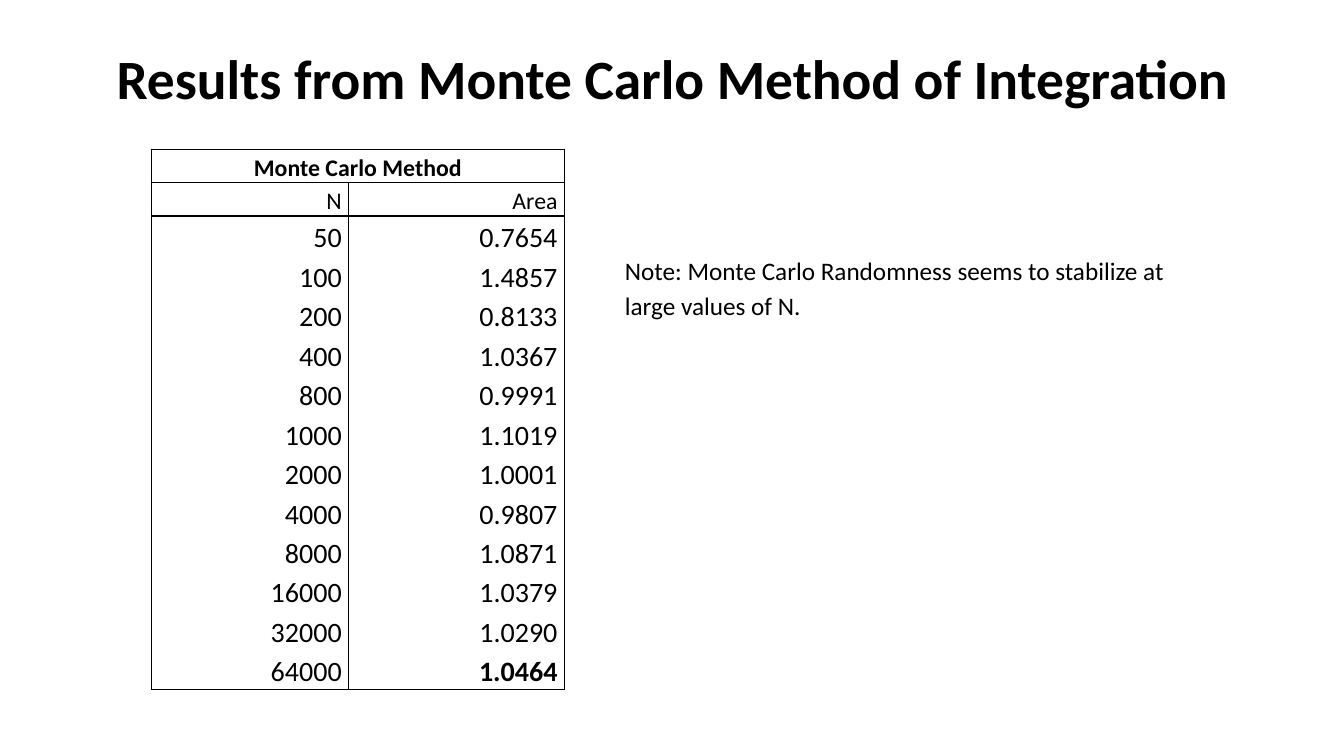
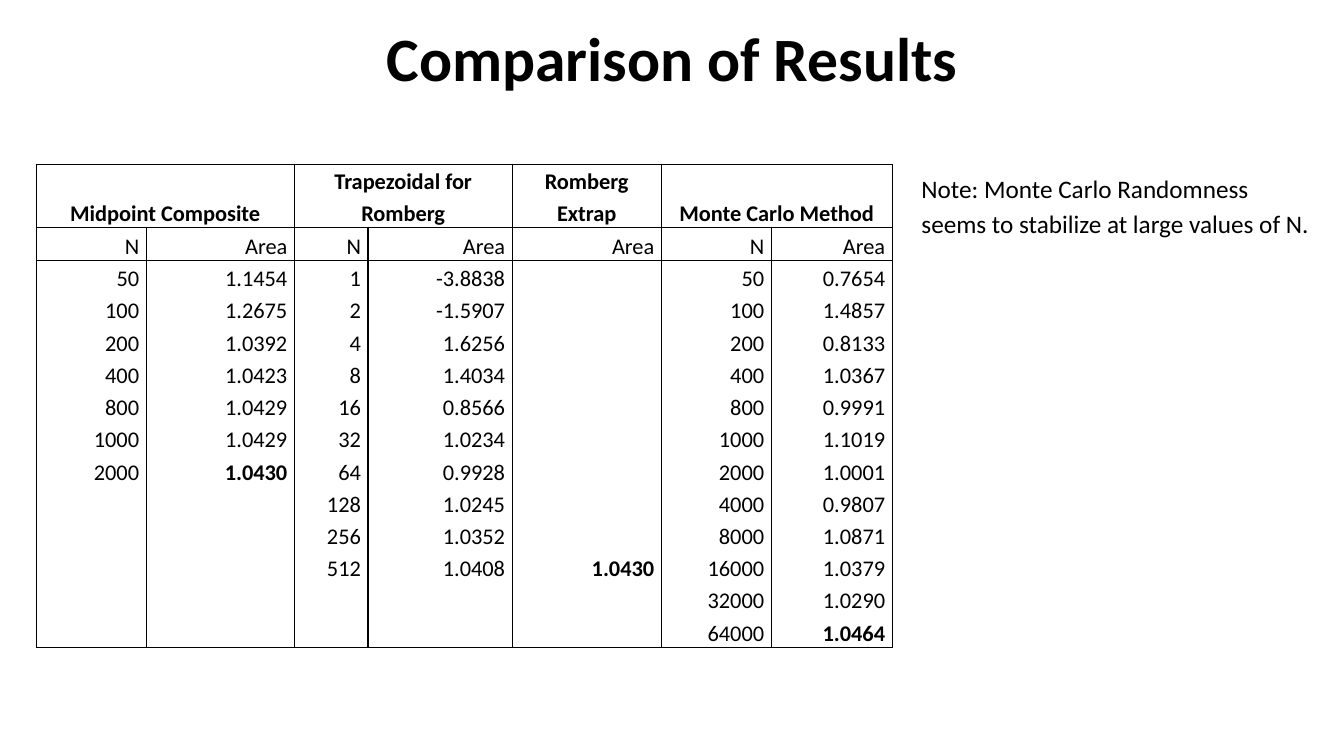
import dataclasses

import lxml.etree
import pptx
import pptx.dml.color
import pptx.enum.text
import pptx.oxml.ns
import pptx.util

PX = 9144  # EMU in one px, 100 px to the inch
FONT = "Calibri"
INK = "000000"
HEADER_ROWS = 2
ALIGN = pptx.enum.text.PP_ALIGN
ANCHOR = pptx.enum.text.MSO_ANCHOR
NOTE = "Note: Monte Carlo Randomness seems to stabilize at large values of N."


@dataclasses.dataclass
class Method:
    heading: str
    columns: dict
    bold_result: bool = True


MONTE_CARLO = Method("Monte Carlo Method", {
    "N": "50 100 200 400 800 1000 2000 4000 8000 16000 32000 64000".split(),
    "Area": ("0.7654 1.4857 0.8133 1.0367 0.9991 1.1019 "
             "1.0001 0.9807 1.0871 1.0379 1.0290 1.0464").split(),
})
MIDPOINT = Method("Midpoint Composite", {
    "N": "50 100 200 400 800 1000 2000".split(),
    "Area": "1.1454 1.2675 1.0392 1.0423 1.0429 1.0429 1.0430".split(),
})
TRAPEZOIDAL = Method("Trapezoidal for Romberg", {
    "N": [str(2 ** power) for power in range(10)],
    "Area": ("-3.8838 -1.5907 1.6256 1.4034 0.8566 "
             "1.0234 0.9928 1.0245 1.0352 1.0408").split(),
}, bold_result=False)
EXTRAPOLATION = Method("Romberg Extrap", {"Area": [""] * 9 + ["1.0430"]})


def px(length):
    return pptx.util.Emu(length * PX)


def color(value):
    return pptx.dml.color.RGBColor.from_string(value)


def write(para, text, size, bold=False, align=ALIGN.LEFT, spacing=1.15):
    para.alignment = align
    para.line_spacing = spacing
    if not text:
        # An empty cell keeps the text size, so that its row does not grow
        para._p.get_or_add_endParaRPr().set("sz", str(size * 100))
        return
    span = para.add_run()
    span.text = text
    span.font.name = FONT
    span.font.size = pptx.util.Pt(size)
    span.font.bold = bold
    span.font.color.rgb = color(INK)


def set_borders(cell, visible):
    """Draw the sides named in visible (of L, R, T, B) and hide the others."""
    properties = cell._tc.get_or_add_tcPr()
    qn = pptx.oxml.ns.qn
    for index, side in enumerate("LRTB"):
        line = lxml.etree.Element(qn("a:ln" + side), w=str(pptx.util.Pt(1)))
        if side in visible:
            fill = lxml.etree.SubElement(line, qn("a:solidFill"))
            lxml.etree.SubElement(fill, qn("a:srgbClr"), val=INK)
        else:
            lxml.etree.SubElement(line, qn("a:noFill"))
        properties.insert(index, line)


def format_cell(cell, visible_sides):
    cell.margin_left = cell.margin_right = px(7)
    cell.margin_top = cell.margin_bottom = 0
    cell.vertical_anchor = ANCHOR.BOTTOM
    cell.fill.background()
    set_borders(cell, visible_sides)


def add_title(page, box, text, size, bottom_inset):
    title = page.shapes.title
    title.left, title.top, title.width, title.height = map(px, box)
    frame = title.text_frame
    frame.word_wrap = True
    frame.auto_size = pptx.enum.text.MSO_AUTO_SIZE.NONE
    frame.vertical_anchor = ANCHOR.MIDDLE
    frame.margin_bottom = px(bottom_inset)
    write(frame.paragraphs[0], text, size, True, ALIGN.CENTER, 0.9)


def add_note(page, box):
    frame = page.shapes.add_textbox(*map(px, box)).text_frame
    frame.word_wrap = True
    write(frame.paragraphs[0], NOTE, 18)


def add_results_table(page, corner, widths, heights, methods, header_size, value_size):
    size = sum(widths), sum(heights)
    table = page.shapes.add_table(
        len(heights), len(widths), *map(px, corner + size)).table
    table.first_row = table.horz_banding = False
    for column, width in zip(table.columns, widths):
        column.width = px(width)
    for row, height in zip(table.rows, heights):
        row.height = px(height)

    left = 0
    for method in methods:
        # Heading over the columns of the method
        right = left + len(method.columns) - 1
        heading = table.cell(0, left)
        if right > left:
            heading.merge(table.cell(0, right))
        for index in range(left, right + 1):
            format_cell(table.cell(0, index), "LRTB")
        write(heading.text_frame.paragraphs[0], method.heading,
              header_size, True, ALIGN.CENTER)

        # Column names and values
        for index, (name, values) in enumerate(method.columns.items(), left):
            last_value = HEADER_ROWS + len(values) - 1
            for row in range(1, len(heights)):
                is_header = row < HEADER_ROWS
                sides = "LR"
                if row <= HEADER_ROWS:
                    sides += "T"
                if is_header or row == len(heights) - 1:
                    sides += "B"
                cell = table.cell(row, index)
                format_cell(cell, sides)
                if is_header:
                    text = name
                else:
                    text = values[row - HEADER_ROWS] if row <= last_value else ""
                bold = method.bold_result and name == "Area" and row == last_value
                write(cell.text_frame.paragraphs[0], text,
                      header_size if is_header else value_size, bold, ALIGN.RIGHT)
        left = right + 1


def add_page(deck):
    return deck.slides.add_slide(deck.slide_layouts.get_by_name("Title Only"))


def monte_carlo_slide(deck):
    page = add_page(deck)
    add_title(page, (92, 40, 1150, 145),
              "Results from Monte Carlo Method of Integration", 39.6, 68)
    add_results_table(page, (150, 148), [196, 214], [32] * 2 + [39] * 12,
                      [MONTE_CARLO], 17, 20)
    add_note(page, (610, 244, 586, 80))


def comparison_slide(deck):
    page = add_page(deck)
    add_title(page, (92, 0, 1150, 122), "Comparison of Results", 44, 5)
    add_results_table(page, (36, 163), [109, 147, 73, 143, 148, 109, 120],
                      [61, 33] + [32] * 12,
                      [MIDPOINT, TRAPEZOIDAL, EXTRAPOLATION, MONTE_CARLO], 16, 16)
    add_note(page, (904, 163, 411, 80))


def main():
    deck = pptx.Presentation()
    deck.slide_width, deck.slide_height = px(1333), px(750)
    monte_carlo_slide(deck)
    comparison_slide(deck)
    deck.save("out.pptx")


if __name__ == "__main__":
    main()
